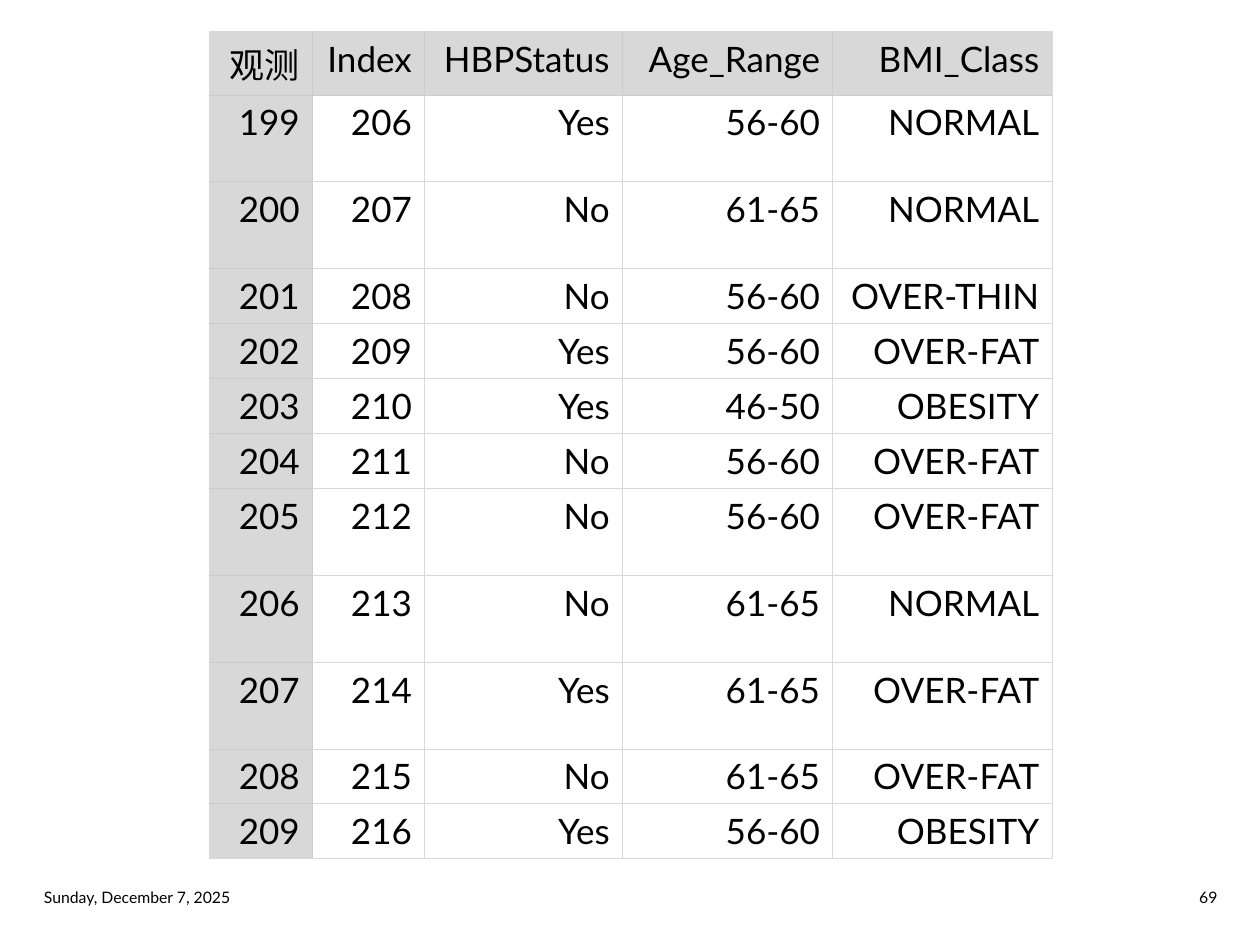
from lxml.etree import SubElement as Sub
from pptx import Presentation
from pptx.dml.color import RGBColor as RGB
from pptx.enum.text import MSO_ANCHOR as Anchor, PP_ALIGN as Align
from pptx.oxml.ns import qn
from pptx.util import Inches, Pt

HUES = {"ink": "000000", "head": "D8D8D8", "grid": "D8D8D8", "rule": "CCCCCC"}
WIDTHS = [0.82, 0.89, 1.57, 1.67, 1.74]
LOW, TALL = 0.42, 0.69
HEADS = ["观测", "Index", "HBPStatus", "Age_Range", "BMI_Class"]
DATA = [
    ("Yes", "56-60", "NORMAL", TALL),
    ("No", "61-65", "NORMAL", TALL),
    ("No", "56-60", "OVER-THIN", LOW),
    ("Yes", "56-60", "OVER-FAT", LOW),
    ("Yes", "46-50", "OBESITY", LOW),
    ("No", "56-60", "OVER-FAT", LOW),
    ("No", "56-60", "OVER-FAT", TALL),
    ("No", "61-65", "NORMAL", TALL),
    ("Yes", "61-65", "OVER-FAT", TALL),
    ("No", "61-65", "OVER-FAT", LOW),
    ("Yes", "56-60", "OBESITY", LOW),
]
ROWS = [HEADS] + [[str(199 + i), str(206 + i), *row[:3]] for i, row in enumerate(DATA)]
HEIGHTS = [LOW] + [row[3] for row in DATA]


class Deck:
    """Holds the style and the current slide, and draws its elements."""

    def __init__(self):
        self.show = Presentation()
        self.show.slide_width, self.show.slide_height = Inches(10), Inches(7.5)
        self.slide = self.show.slides.add_slide(self.show.slide_layouts[6])
        self.font = {"name": "Lato", "bold": False}

    def label(self, frame, text, size, align):
        para = frame.paragraphs[0]
        para.alignment = align
        run = para.add_run()
        run.text = text
        for key, value in {**self.font, "size": Pt(size)}.items():
            setattr(run.font, key, value)
        run.font.color.rgb = RGB.from_string(HUES["ink"])

    def text(self, box, text, align):
        frame = self.slide.shapes.add_textbox(*map(Inches, box)).text_frame
        for key, value in {"word_wrap": True, "vertical_anchor": Anchor.MIDDLE}.items():
            setattr(frame, key, value)
        self.label(frame, text, 9, align)

    def edge(self, cell, side, hue):
        line = Sub(cell._tc.get_or_add_tcPr(), qn(f"a:ln{side}"), w=str(Pt(0.5)))
        fill = Sub(line, qn("a:solidFill"))
        Sub(fill, qn("a:srgbClr"), val=HUES[hue])

    def cell(self, cell, text, row, col):
        dark = row == 0 or col == 0
        inner = {
            "L": col > 0 and (row == 0 or col == 1),
            "R": col < len(WIDTHS) - 1 and dark,
            "T": row > 0 and (col == 0 or row == 1),
            "B": row < len(ROWS) - 1 and dark,
        }
        for side, rule in inner.items():
            self.edge(cell, side, "rule" if rule else "grid")
        if dark:
            cell.fill.solid()
            cell.fill.fore_color.rgb = RGB.from_string(HUES["head"])
        else:
            cell.fill.background()
        self.label(cell.text_frame, text, 20, Align.RIGHT)

    def table(self, left, top):
        size = map(Inches, (left, top, sum(WIDTHS), sum(HEIGHTS)))
        grid = self.slide.shapes.add_table(len(ROWS), len(WIDTHS), *size).table
        for key in ("first_row", "horz_banding"):
            setattr(grid, key, False)
        for col, width in zip(grid.columns, WIDTHS):
            col.width = Inches(width)
        for row, height in zip(grid.rows, HEIGHTS):
            row.height = Inches(height)
        for r, row in enumerate(ROWS):
            for c, text in enumerate(row):
                self.cell(grid.cell(r, c), text, r, c)


def main():
    deck = Deck()
    deck.table(1.66, 0.25)
    deck.text((0.25, 6.99, 2.38, 0.26), "Sunday, December 7, 2025", Align.LEFT)
    deck.text((7.38, 6.99, 2.38, 0.26), "69", Align.RIGHT)
    deck.show.save("out.pptx")


if __name__ == "__main__":
    main()
